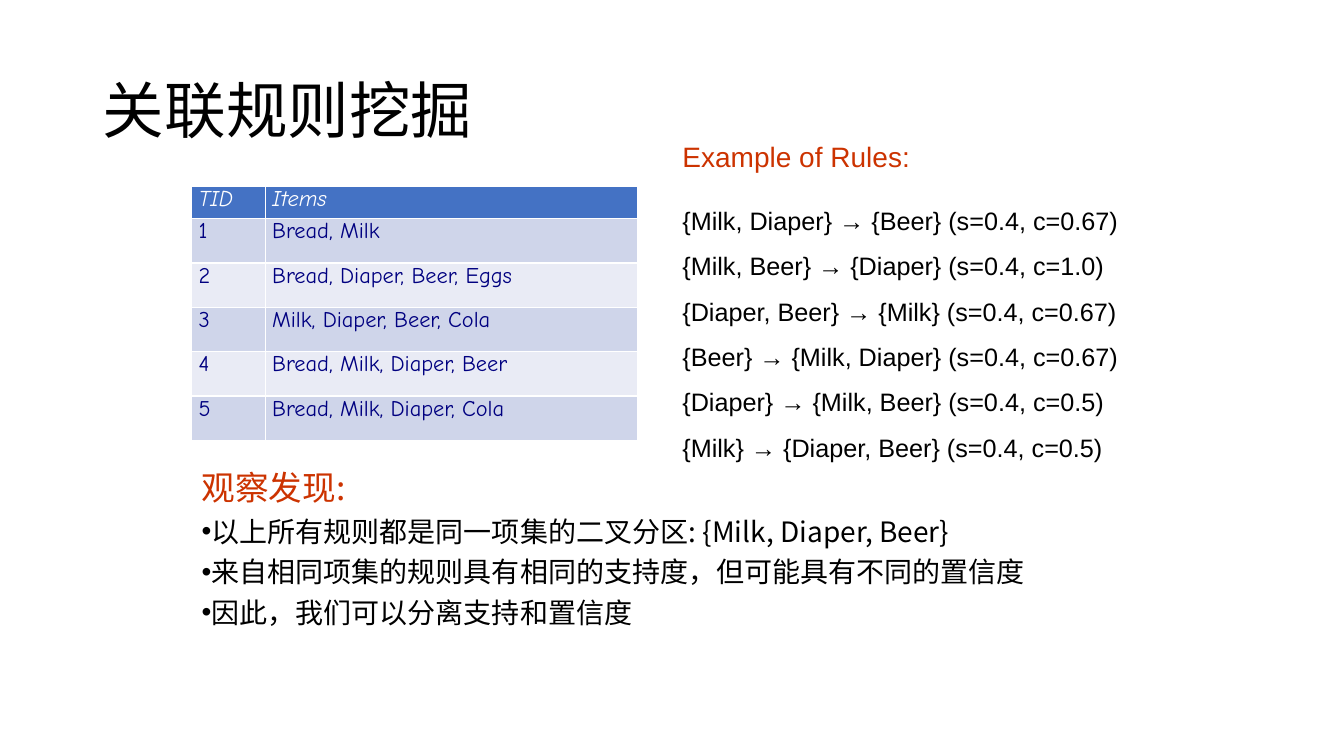
import pptx
import pptx.dml.color
import pptx.enum.text
import pptx.oxml.ns
import pptx.util
from lxml import etree
from pptx.util import Inches

COLORS = {
    "ink": "000000",
    "accent": "CC3300",
    "header": "4472C4",
    "header_text": "FFFFFF",
    "odd_row": "CFD5EA",
    "even_row": "E9EBF5",
    "item_text": "000080",
}
CJK, SANS, HAND = "Noto Sans CJK SC", "Arial", "Comic Neue"

TRANSACTIONS = [
    ("TID", "Items"),
    ("1", "Bread, Milk"),
    ("2", "Bread, Diaper, Beer, Eggs"),
    ("3", "Milk, Diaper, Beer, Cola"),
    ("4", "Bread, Milk, Diaper, Beer"),
    ("5", "Bread, Milk, Diaper, Cola"),
]
RULES = [
    "{Milk, Diaper} → {Beer} (s=0.4, c=0.67)",
    "{Milk, Beer} → {Diaper} (s=0.4, c=1.0)",
    "{Diaper, Beer} → {Milk} (s=0.4, c=0.67)",
    "{Beer} → {Milk, Diaper} (s=0.4, c=0.67)",
    "{Diaper} → {Milk, Beer} (s=0.4, c=0.5)",
    "{Milk} → {Diaper, Beer} (s=0.4, c=0.5)",
]
OBSERVATIONS = [
    "以上所有规则都是同一项集的二叉分区: {Milk, Diaper, Beer}",
    "来自相同项集的规则具有相同的支持度，但可能具有不同的置信度",
    "因此，我们可以分离支持和置信度",
]


def rgb(name):
    return pptx.dml.color.RGBColor.from_string(COLORS[name])


class SlideBuilder:
    def __init__(self, slide):
        self.slide = slide

    def place(self, shape, left, top, width, height):
        shape.left, shape.top = Inches(left), Inches(top)
        shape.width, shape.height = Inches(width), Inches(height)

    def style(self, paragraph, size, font, color, italic=False):
        """Format every run, for Latin and East Asian letters alike."""
        for run in paragraph.runs:
            run.font.size = pptx.util.Pt(size)
            run.font.name = font
            run.font.bold = False
            run.font.italic = italic
            run.font.color.rgb = rgb(color)
            east_asian = etree.SubElement(run.font._element, pptx.oxml.ns.qn("a:ea"))
            east_asian.set("typeface", font)

    def bullet(self, paragraph, char=None):
        """Set a flush-left bullet, or none when char is missing."""
        properties = paragraph._p.get_or_add_pPr()
        properties.set("marL", "0")
        properties.set("indent", "0")
        if char:
            mark = etree.SubElement(properties, pptx.oxml.ns.qn("a:buChar"))
            mark.set("char", char)
        else:
            etree.SubElement(properties, pptx.oxml.ns.qn("a:buNone"))

    def title(self, text, *box):
        title = self.slide.shapes.title
        self.place(title, *box)
        frame = title.text_frame
        frame.text = text
        frame.auto_size = pptx.enum.text.MSO_AUTO_SIZE.NONE
        frame.vertical_anchor = pptx.enum.text.MSO_ANCHOR.MIDDLE
        heading = frame.paragraphs[0]
        heading.alignment = pptx.enum.text.PP_ALIGN.LEFT
        heading.line_spacing = 0.9
        self.style(heading, 44, CJK, "ink")

    def rules(self, heading, rules, *box):
        frame = self.slide.shapes.add_textbox(*map(Inches, box)).text_frame
        frame.word_wrap = True
        frame.text = "\n".join([heading, *rules])
        for paragraph in frame.paragraphs:
            paragraph.line_spacing = 1.5
            self.style(paragraph, 18, SANS, "ink")
        first = frame.paragraphs[0]
        first.space_after = pptx.util.Pt(12)
        first.runs[0].font.size = pptx.util.Pt(20)
        first.runs[0].font.color.rgb = rgb("accent")

    def observations(self, heading, points, *box):
        body = self.slide.placeholders[1]
        self.place(body, *box)
        frame = body.text_frame
        frame.text = "\n".join([heading, *points])
        frame.auto_size = pptx.enum.text.MSO_AUTO_SIZE.NONE
        first, *bullets = frame.paragraphs
        self.bullet(first)
        first.space_before = pptx.util.Pt(0)
        self.style(first, 24, CJK, "accent")
        for paragraph in bullets:
            self.bullet(paragraph, "•")
            paragraph.space_before = pptx.util.Pt(5)
            self.style(paragraph, 20, CJK, "ink")

    def table(self, rows, widths, heights, left, top):
        table = self.slide.shapes.add_table(
            len(rows), len(widths), Inches(left), Inches(top),
            Inches(sum(widths)), Inches(sum(heights))).table
        for column, width in zip(table.columns, widths):
            column.width = Inches(width)
        for index, (row, height, texts) in enumerate(zip(table.rows, heights, rows)):
            row.height = Inches(height)
            is_header = index == 0
            band = "header" if is_header else "odd_row" if index % 2 else "even_row"
            for cell, text in zip(row.cells, texts):
                cell.text = text
                cell.margin_left = cell.margin_right = Inches(0.07)
                cell.margin_top = cell.margin_bottom = 0
                cell.fill.solid()
                cell.fill.fore_color.rgb = rgb(band)
                self.style(cell.text_frame.paragraphs[0], 16, HAND,
                           "header_text" if is_header else "item_text", is_header)


def main():
    deck = pptx.Presentation()
    deck.slide_width, deck.slide_height = Inches(13.33), Inches(7.5)
    builder = SlideBuilder(deck.slides.add_slide(deck.slide_layouts[1]))
    builder.title("关联规则挖掘", 0.92, 0.4, 11.5, 1.45)
    builder.rules("Example of Rules:", RULES, 6.67, 1.17, 5.17, 3.5)
    builder.observations("观察发现:", OBSERVATIONS, 1.9, 4.58, 8.67, 2.02)
    builder.table(TRANSACTIONS, [0.73, 3.69], [0.32] + [0.44] * 5, 1.9, 1.85)
    deck.save("out.pptx")


if __name__ == "__main__":
    main()
